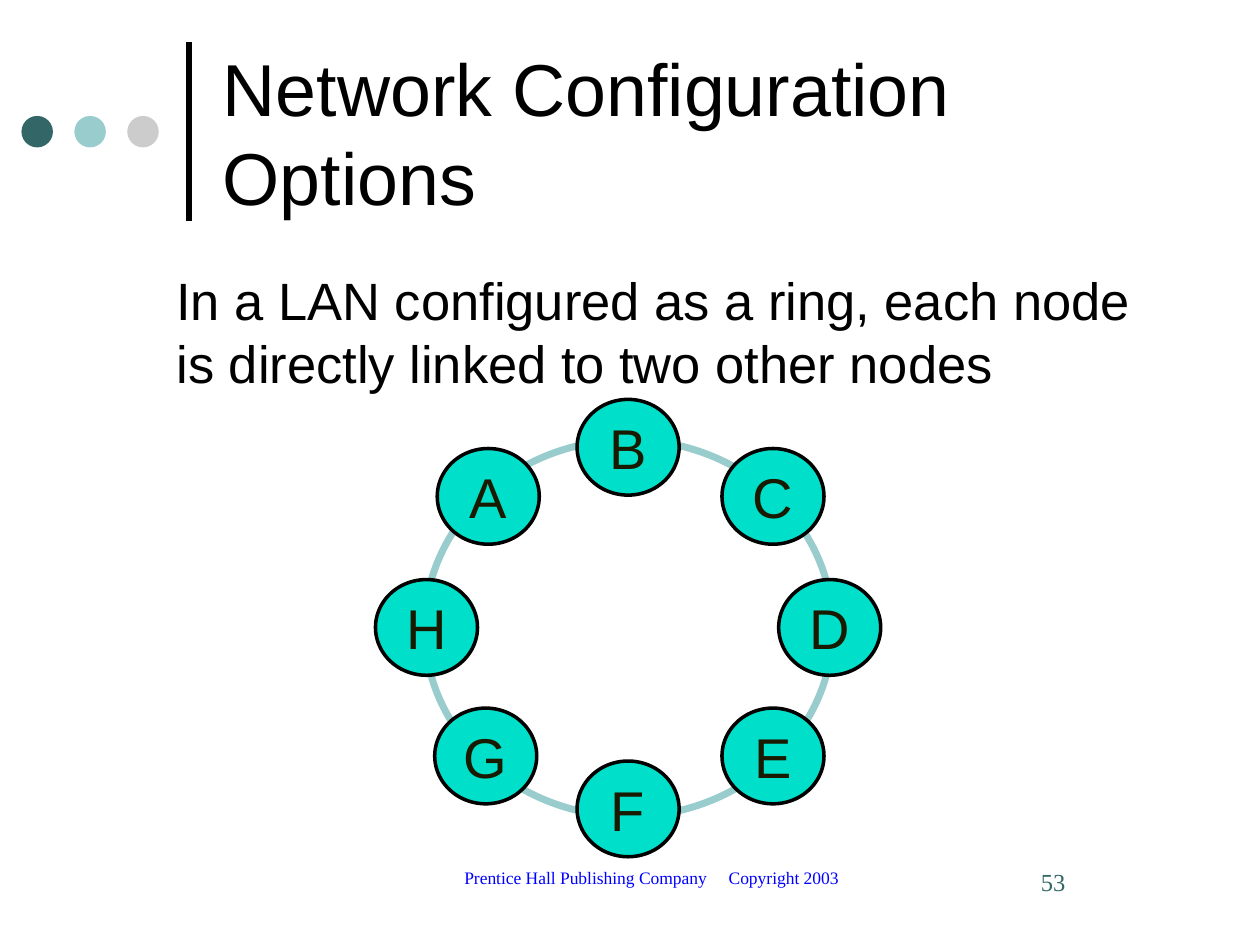
from dataclasses import dataclass

from lxml import etree
from pptx import Presentation
from pptx.dml.color import RGBColor
from pptx.enum import shapes, text
from pptx.oxml import ns
from pptx.util import Inches, Pt


@dataclass(frozen=True)
class Theme:
    sans: str = "Arial"
    serif: str = "Times New Roman"
    black: str = "000000"
    dark_teal: str = "336666"
    light_teal: str = "99CCCC"
    gray: str = "CCCCCC"
    node_fill: str = "00DFCA"
    node_text: str = "1A1A00"
    footer_blue: str = "0000FF"
    title_size: float = 42
    body_size: float = 30
    node_size: float = 32
    number_size: float = 14
    footer_size: float = 10
    leading: float = 1.2


theme = Theme()


def write_text(shape, content, size, color, font=theme.sans, align=text.PP_ALIGN.LEFT,
               anchor=text.MSO_ANCHOR.TOP, wrap=True, left_inset=0.1):
    frame = shape.text_frame
    frame.text = content
    frame.word_wrap = wrap
    frame.vertical_anchor = anchor
    frame.margin_left = Inches(left_inset)
    paragraph = frame.paragraphs[0]
    paragraph.alignment = align
    if font == theme.sans:
        paragraph.line_spacing = Pt(size * theme.leading)
    run_font = paragraph.runs[0].font
    run_font.name = font
    run_font.size = Pt(size)
    run_font.color.rgb = RGBColor.from_string(color)


def add_ellipse(left, top, width, height, fill=None, line=None, line_width=0):
    shape = slide.shapes.add_shape(shapes.MSO_SHAPE.OVAL, Inches(left), Inches(top),
                                   Inches(width), Inches(height))
    shape.shadow.inherit = False
    for part, color in ((shape.fill, fill), (shape.line.fill, line)):
        if color:
            part.solid()
            part.fore_color.rgb = RGBColor.from_string(color)
        else:
            part.background()
    if line:
        shape.line.width = Pt(line_width)
    return shape


presentation = Presentation()
presentation.slide_width = Inches(10)
presentation.slide_height = Inches(7.5)
slide = presentation.slides.add_slide(presentation.slide_layouts[6])

# Vertical rule and three dots beside the title
rule = slide.shapes.add_connector(shapes.MSO_CONNECTOR.STRAIGHT, Inches(1.5), Inches(1.75),
                                  Inches(1.5), Inches(0.33))
rule.line.color.rgb = RGBColor.from_string(theme.black)
rule.line.width = Pt(3)
etree.SubElement(rule._element.spPr, ns.qn("a:effectLst"))

for index, color in enumerate((theme.dark_teal, theme.light_teal, theme.gray)):
    add_ellipse(0.17 + 0.42 * index, 0.92, 0.25, 0.25, fill=color)

# Title and body
title = slide.shapes.add_textbox(Inches(1.67), Inches(0.21), Inches(7.67), Inches(1.67))
write_text(title, "Network Configuration Options", theme.title_size, theme.black,
           anchor=text.MSO_ANCHOR.MIDDLE)

body = slide.shapes.add_textbox(Inches(0.92), Inches(2.08), Inches(8.42), Inches(1.5))
write_text(body, "In a LAN configured as a ring, each node is directly linked to two other nodes",
           theme.body_size, theme.black, left_inset=0.48)

# Ring with its eight nodes
add_ellipse(3.37, 3.49, 3.24, 2.99, line=theme.light_teal, line_width=4)

node_positions = {
    "A": (3.47, 3.56), "B": (4.58, 3.17), "C": (5.73, 3.56), "D": (6.18, 4.6),
    "E": (5.73, 5.62), "F": (4.58, 6.04), "G": (3.45, 5.62), "H": (2.98, 4.6),
}
for label, (left, top) in node_positions.items():
    node = add_ellipse(left, top, 0.81, 0.76, theme.node_fill, theme.black, 2)
    write_text(node, label, theme.node_size, theme.node_text, align=text.PP_ALIGN.CENTER,
               anchor=text.MSO_ANCHOR.MIDDLE, wrap=False)

# Footer and slide number
footer = slide.shapes.add_textbox(Inches(3.17), Inches(6.83), Inches(4), Inches(0.5))
write_text(footer, "Prentice Hall Publishing Company     Copyright 2003", theme.footer_size,
           theme.footer_blue, theme.serif, text.PP_ALIGN.CENTER)

number = slide.shapes.add_textbox(Inches(7.92), Inches(6.83), Inches(1.42), Inches(0.5))
write_text(number, "53", theme.number_size, theme.dark_teal, theme.serif, left_inset=0.34)

presentation.save("out.pptx")
